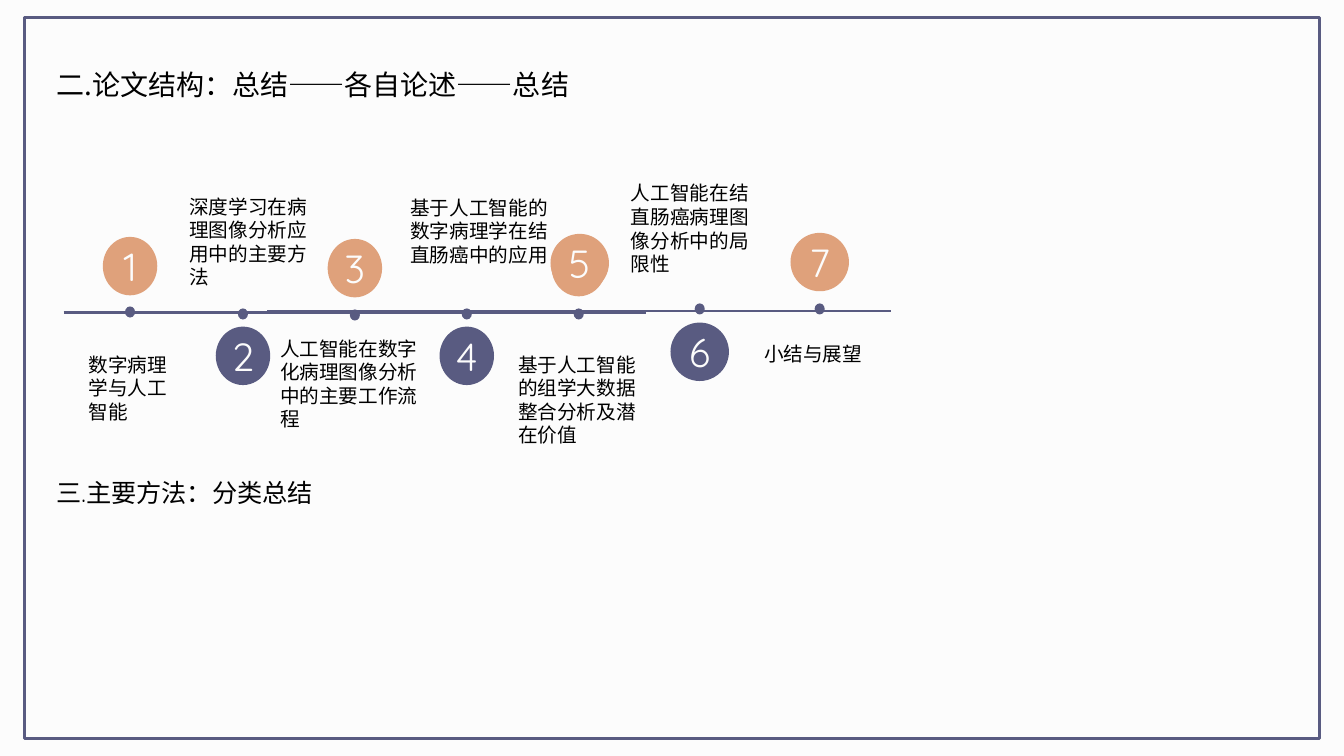
from lxml import etree
from pptx import Presentation
from pptx.dml.color import RGBColor
from pptx.enum.shapes import MSO_CONNECTOR, MSO_SHAPE
from pptx.enum.text import MSO_ANCHOR, PP_ALIGN
from pptx.oxml.ns import qn
from pptx.util import Inches, Pt

RECTANGLE, OVAL = MSO_SHAPE.RECTANGLE, MSO_SHAPE.OVAL
STRAIGHT = MSO_CONNECTOR.STRAIGHT
LEFT, CENTER = PP_ALIGN.LEFT, PP_ALIGN.CENTER
TOP, MIDDLE = MSO_ANCHOR.TOP, MSO_ANCHOR.MIDDLE

INDIGO = RGBColor(0x59, 0x5B, 0x81)
PEACH = RGBColor(0xDF, 0xA1, 0x7B)
PAPER = RGBColor(0xFC, 0xFC, 0xFC)
BLACK = RGBColor(0, 0, 0)
CHINESE_FONT = "Noto Sans CJK SC"
NUMBER_FONT = "Quicksand"

# Timeline axes: left, right, height on the slide
AXES = [(0.63, 6.41, 3.1), (2.65, 8.84, 3.09)]

# Milestones: number, centre, dot top, badge top, badge width, badge colour
MILESTONES = [
    ("1", 1.29, 3.04, 2.35, 0.54, PEACH),
    ("2", 2.41, 3.06, 3.24, 0.54, INDIGO),
    ("3", 3.52, 3.07, 2.37, 0.54, PEACH),
    ("4", 4.63, 3.06, 3.24, 0.54, INDIGO),
    ("5", 5.74, 3.06, 2.36, 0.54, PEACH),
    ("5", 5.75, None, 2.32, 0.58, PEACH),
    ("6", 6.94, 3.01, 3.2, 0.58, INDIGO),
    ("7", 8.13, 3.01, 2.31, 0.58, PEACH),
]

# Captions: text, left, top, width, height
CAPTIONS = [
    ("数字病理学与人工智能", 0.78, 3.45, 1.01, 1.56),
    ("深度学习在病理图像分析应用中的主要方法", 1.78, 1.88, 1.47, 0.96),
    ("人工智能在数字化病理图像分析中的主要工作流程", 2.68, 3.29, 1.57, 1.65),
    ("基于人工智能的数字病理学在结直肠癌中的应用", 3.97, 1.89, 1.62, 1.06),
    ("基于人工智能的组学大数据整合分析及潜在价值", 5.04, 3.45, 1.48, 2.99),
    ("人工智能在结直肠癌病理图像分析中的局限性", 6.16, 1.75, 1.54, 1.18),
    ("小结与展望", 7.48, 3.34, 5.06, 0.66),
]


def write_text(frame, text, *, size=14, font=CHINESE_FONT, color=BLACK,
               align=LEFT, anchor=TOP, wrap=True):
    frame.word_wrap = wrap
    frame.vertical_anchor = anchor
    paragraph = frame.paragraphs[0]
    paragraph.alignment = align
    run = paragraph.add_run()
    run.text = text
    run.font.size = Pt(size)
    run.font.name = font
    run.font.color.rgb = color
    east_asian = etree.SubElement(run.font._element, qn("a:ea"))
    east_asian.set("typeface", CHINESE_FONT)


class TimelineSlide:
    def __init__(self, presentation):
        self.slide = presentation.slides.add_slide(presentation.slide_layouts[6])
        background = self.slide.background.fill
        background.solid()
        background.fore_color.rgb = PAPER

    def shape(self, kind, left, top, width, height, fill=None, line=None):
        shape = self.slide.shapes.add_shape(
            kind, Inches(left), Inches(top), Inches(width), Inches(height))
        shape.shadow.inherit = False
        if fill is None:
            shape.fill.background()
        else:
            shape.fill.solid()
            shape.fill.fore_color.rgb = fill
        if line is None:
            shape.line.fill.background()
        else:
            shape.line.color.rgb = line
            shape.line.width = Pt(2)
        return shape

    def axis(self, left, right, y):
        connector = self.slide.shapes.add_connector(
            STRAIGHT, Inches(left), Inches(y), Inches(right), Inches(y))
        connector.line.color.rgb = INDIGO
        connector.line.width = Pt(1.5)
        etree.SubElement(connector._element.spPr, qn("a:effectLst"))

    def milestone(self, number, center, dot_top, badge_top, width, color):
        if dot_top is not None:
            self.shape(OVAL, center - 0.05, dot_top, 0.1, 0.11, INDIGO)
        badge = self.shape(OVAL, center - width / 2, badge_top, width, 0.58, color)
        write_text(badge.text_frame, number, size=28, font=NUMBER_FONT,
                   color=PAPER, align=CENTER, anchor=MIDDLE, wrap=False)

    def text(self, text, left, top, width, height, **style):
        box = self.slide.shapes.add_textbox(
            Inches(left), Inches(top), Inches(width), Inches(height))
        write_text(box.text_frame, text, **style)


def main():
    presentation = Presentation()
    presentation.slide_width = Inches(13.33)
    presentation.slide_height = Inches(7.5)
    page = TimelineSlide(presentation)

    # Frame
    page.shape(RECTANGLE, 0.24, 0.17, 12.85, 7.16, line=INDIGO)

    # Timeline
    for axis in AXES:
        page.axis(*axis)
    for milestone in MILESTONES:
        page.milestone(*milestone)
    for caption in CAPTIONS:
        page.text(*caption)

    # Headings
    page.text("二.论文结构：总结——各自论述——总结", 0.46, 0.62, 5.7, 0.44, size=20)
    page.text("三.主要方法：分类总结", 0.46, 4.69, 4.83, 0.74,
              size=18, font=NUMBER_FONT)

    presentation.save("out.pptx")


if __name__ == "__main__":
    main()
